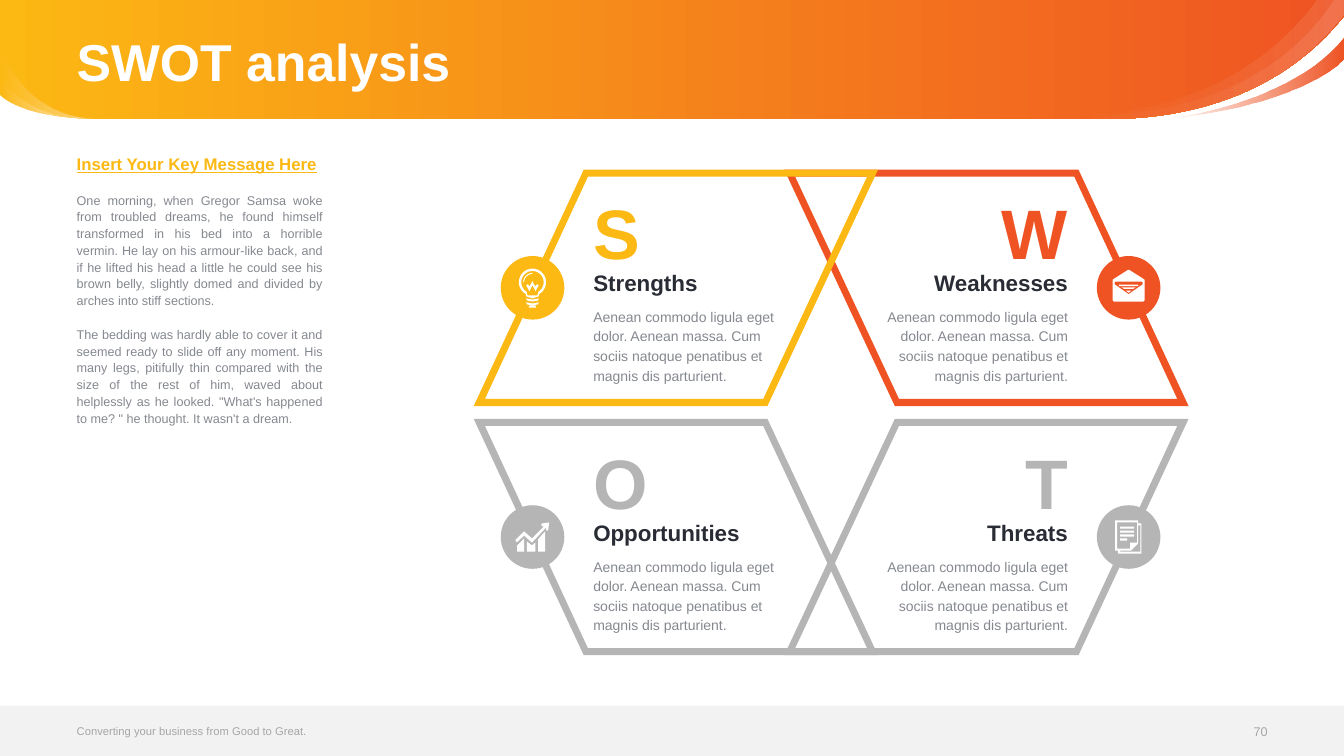
from dataclasses import dataclass
from math import cos, radians, sin

from lxml import etree
from pptx import Presentation
from pptx import util as u
from pptx.dml.color import RGBColor
from pptx.enum import shapes, text
from pptx.oxml.ns import qn

Point = tuple[float, float]
Contour = list[Point]

COLORS = {"yellow": "FCB813", "red": "EF5323", "silver": "B5B5B5", "white": "FFFFFF",
          "band": "F2F2F2", "footer": "A6A6A6", "body": "85898F", "dark": "292C34"}
FONT = "Arial"
LEFT, RIGHT = text.PP_ALIGN.LEFT, text.PP_ALIGN.RIGHT
MIDDLE = text.MSO_ANCHOR.MIDDLE


@dataclass
class Stop:
    position: float
    color: str
    alpha: int = 100


@dataclass
class Wave:
    contour: Contour
    stops: tuple[Stop, Stop]


@dataclass
class Line:
    words: str
    size: float
    color: str
    bold: bool = False
    underline: bool = False
    align: text.PP_ALIGN = LEFT
    spacing: float | u.Length | None = None
    after: float = 0


@dataclass
class Panel:
    letter: str
    heading: str
    color: str
    column: int
    row: int
    icon: list[Contour]


def curve(p0: Point, p1: Point, p2: Point, p3: Point, steps: int = 24) -> Contour:
    """Points along a cubic curve."""
    points = []
    for i in range(steps + 1):
        t = i / steps
        weights = ((1 - t) ** 3, 3 * t * (1 - t) ** 2, 3 * t * t * (1 - t), t ** 3)
        points.append(tuple(sum(w * p[axis] for w, p in zip(weights, (p0, p1, p2, p3)))
                            for axis in (0, 1)))
    return points


def arc(radius: float, start: float, end: float, steps: int = 32) -> Contour:
    """Points along the bulb's glass, centred 4 pt above the badge centre."""
    angles = [radians(start + (end - start) * i / steps) for i in range(steps + 1)]
    return [(radius * cos(a), radius * sin(a) - 4) for a in angles]


def box(left: float, top: float, right: float, bottom: float) -> Contour:
    return [(left, top), (right, top), (right, bottom), (left, bottom)]


def paint(shape, color: str) -> None:
    shape.shadow.inherit = False
    shape.line.fill.background()
    shape.fill.solid()
    shape.fill.fore_color.rgb = RGBColor.from_string(COLORS[color])


def add_outline(slide, contours: list[Contour], color: str, x: float = 0, y: float = 0):
    placed = [[(u.Pt(x + px), u.Pt(y + py)) for px, py in c] for c in contours]
    builder = slide.shapes.build_freeform(*placed[0][0])
    builder.add_line_segments(placed[0][1:])
    for contour in placed[1:]:
        builder.move_to(*contour[0])
        builder.add_line_segments(contour[1:])
    shape = builder.convert_to_shape()
    paint(shape, color)
    return shape


def add_wave(slide, wave: Wave) -> None:
    shape = add_outline(slide, [wave.contour], "white")
    shape.fill.gradient()
    shape.fill.gradient_angle = 0
    for target, stop in zip(shape.fill.gradient_stops, wave.stops):
        target.position = stop.position
        target.color.rgb = RGBColor.from_string(COLORS[stop.color])
    for node, stop in zip(shape.element.iter(qn("a:srgbClr")), wave.stops):
        if stop.alpha < 100:
            etree.SubElement(node, qn("a:alpha")).set("val", str(stop.alpha * 1000))


def add_preset(slide, kind, x: float, y: float, w: float, h: float, color: str) -> None:
    paint(slide.shapes.add_shape(kind, u.Pt(x), u.Pt(y), u.Pt(w), u.Pt(h)), color)


def add_text(slide, x: float, y: float, w: float, h: float, *lines: Line,
             anchor=text.MSO_ANCHOR.TOP) -> None:
    frame = slide.shapes.add_textbox(u.Pt(x), u.Pt(y), u.Pt(w), u.Pt(h)).text_frame
    frame.word_wrap = True
    frame.vertical_anchor = anchor
    frame.margin_left = frame.margin_right = frame.margin_top = frame.margin_bottom = 0
    for i, line in enumerate(lines):
        paragraph = frame.add_paragraph() if i else frame.paragraphs[0]
        paragraph.text = line.words
        paragraph.alignment = line.align
        if line.spacing:
            paragraph.line_spacing = line.spacing
        if line.after:
            paragraph.space_after = u.Pt(line.after)
        font = paragraph.font
        font.name, font.size = FONT, u.Pt(line.size)
        font.bold, font.underline = line.bold, line.underline
        font.color.rgb = RGBColor.from_string(COLORS[line.color])


# Header waves
CORNER: Point = (960, 0)
EDGE: Point = (960, 11.5)
GLOSS = (Stop(0.15, "white", 0), Stop(1, "white", 10))
SHEEN = (Stop(0, "white", 0), Stop(1, "white", 50))
left_sweep = curve((70, 85), (13, 84.2), (0, 67.7), (0, 67.7))
WAVES = [
    Wave([CORNER, *curve(EDGE, (911.5, 72), (842.4, 84.2), (795.6, 85)), *left_sweep, (0, 0)],
         (Stop(0, "yellow"), Stop(1, "red"))),
    Wave([CORNER, *curve(EDGE, (881.3, 110.2), (748, 81.4), (744.5, 80.6)),
          *curve((744.5, 80.6), (748.8, 80.6), (887, 100), (953.3, 0))], GLOSS),
    Wave([*curve((833, 85), (833, 85), (923, 74.2), (960, 26.6)),
          *curve((960, 42.5), (960, 42.5), (931.7, 74.9), (833, 85))],
         (Stop(0, "red", 0), Stop(1, "red"))),
    Wave([CORNER, *curve(EDGE, (880.6, 111.6), (744.5, 80.6), (744.5, 80.6)),
          *curve((744.5, 80.6), (856, 87.8), (914.4, 36), (941, 0))], GLOSS),
    *[Wave([*left_sweep, *curve((0, top), (0, top), (13, dip), (70, 85))], SHEEN)
      for top, dip in ((54.7, 84.2), (32.4, 83.5))],
]

# Badge icons, measured from the badge centre
BULB = [
    [*arc(9.7, 61, -241), (-4.7, 6), (0, 7.6), (4.7, 6)],
    [*arc(8, 57, -237), (-3.5, 5.4), (3.5, 5.4)],
    *[[(-4.5, y), (0, y + 0.8), (4.5, y), (4, y + 1.5), (0, y + 2.2), (-4, y + 1.5)]
      for y in (7.6, 10.4)],
    box(-2.5, 12.8, 2.5, 14.2),
    [(1.8, -1), (0, -4.7), (-2.2, -1), (-3.2, -2.5), (-4.5, -1.8), (-2.2, 2.5), (0, -1.8),
     (2.2, 2.5), (4.5, -1.8), (3.2, -2.5)],
    [*arc(6.6, 180, 270), *arc(5.9, 270, 180)],
]
ENVELOPE = [
    [(11.2, -6), (0.5, -12.8), (-0.5, -12.8), (-11.2, -6), (-11.5, -4.7), (-11.5, 8.8),
     (-10.4, 9.8), (10.4, 9.8), (11.5, 8.8), (11.5, -4.7)],
    [(10, -2.5), (0, 4.5), (-10, -2.5), (-10, -4), (-9.5, -4.5), (9.5, -4.5), (10, -4)],
    [(0, 3.4), (2, 2), (-2, 2)],
    [(-3.2, 0.8), (3.2, 0.8), (5, -0.4), (-5, -0.4)],
    [(-6.8, -1.3), (6.8, -1.3), (7, -2.2), (-7, -2.2)],
]
GROWTH = [
    [(-11, 10.4), (-11, 6), (-6, 1), (-6, 10.4)],
    [(-4, 3.2), (-4, 10.4), (2, 10.4), (2, 4), (-0.4, 6)],
    [(4, 1.6), (4, 10.4), (9, 10.4), (9, -4)],
    [(11.9, -10.4), (6.8, -9.7), (6.2, -8.6), (6.8, -7.6), (8.3, -7.6), (-0.4, 1), (-6, -4),
     (-12, 1.8), (-12, 3.2), (-11, 3.6), (-6, -1), (-0.4, 4), (9.7, -6.8), (9.7, -5),
     (10.5, -4.5), (11.2, -5)],
]
DOCUMENT = [
    [(6.8, -9.7), (6.8, -11.9), (-9.7, -11.9), (-9.7, 9.7), (-7.6, 9.7), (-7.6, 11.9),
     (9, 11.9), (9, -9.7)],
    [(-8.3, 8.3), (-8.3, -10.4), (6.1, -10.4), (6.1, 4), (1, 4), (1, 8.3)],
    [(8.3, 10.4), (-6.1, 10.4), (-6.1, 9.7), (1.8, 9.7), (6.8, 4.7), (6.8, -8.3), (8.3, -8.3)],
    *[box(-6, y, right, y + 1.5) for y, right in ((-7.5, 4), (-4.6, 4), (-1.8, 4), (1, -1))],
]

# SWOT panels, back to front
PANELS = [
    Panel("W", "Weaknesses", "red", 1, 0, ENVELOPE),
    Panel("O", "Opportunities", "silver", 0, 1, GROWTH),
    Panel("T", "Threats", "silver", 1, 1, DOCUMENT),
    Panel("S", "Strengths", "yellow", 0, 0, BULB),
]
PANEL_W, PANEL_H, ROW_PITCH, BADGE = 288.8, 168.8, 178, 45.4
FRAME = [[(0, PANEL_H), (209.8, PANEL_H), (PANEL_W, 0), (78.6, 0)],
         [(8, 163.8), (206.8, 163.8), (281, 5), (81.6, 5)]]
SUMMARY = ("Aenean commodo ligula eget dolor. Aenean massa. Cum sociis natoque "
           "penatibus et magnis dis parturient.")


def add_panel(slide, panel: Panel) -> None:
    frame = [[(PANEL_W - x if panel.column else x, PANEL_H - y if panel.row else y)
              for x, y in contour] for contour in FRAME]
    drop = panel.row * ROW_PITCH
    add_outline(slide, frame, panel.color, (338.4, 560.2)[panel.column], 121.2 + drop)
    x, y = (380.4, 806.2)[panel.column], 205.6 + drop
    add_preset(slide, shapes.MSO_SHAPE.OVAL, x - BADGE / 2, y - BADGE / 2, BADGE, BADGE,
               panel.color)
    add_outline(slide, panel.icon, "white", x, y)


def add_panel_text(slide, panel: Panel) -> None:
    x, drop = (423.8, 623)[panel.column], panel.row * 178.5
    align = (LEFT, RIGHT)[panel.column]
    for top, height, line in (
            (218.2, 57, Line(SUMMARY, 10, "body", align=align, spacing=u.Pt(14))),
            (192.2, 19.4, Line(panel.heading, 16, "dark", True, align=align)),
            (135.4, 60.5, Line(panel.letter, 50, panel.color, True, align=align))):
        add_text(slide, x, top + drop, 139.8, height, line)


def main() -> None:
    deck = Presentation()
    deck.slide_width, deck.slide_height = u.Pt(960), u.Pt(540)
    slide = deck.slides.add_slide(deck.slide_layouts[6])

    # Header, footer band and title
    for wave in WAVES:
        add_wave(slide, wave)
    add_preset(slide, shapes.MSO_SHAPE.RECTANGLE, 0, 504, 960, 36, "band")
    add_text(slide, 54.8, 3.6, 850, 85, Line("SWOT analysis", 37, "white", True, spacing=0.9),
             anchor=MIDDLE)

    # Key message
    story = {"align": text.PP_ALIGN.JUSTIFY, "spacing": u.Pt(12)}
    add_text(
        slide, 54.8, 112.3, 175.6, 373.7,
        Line("Insert Your Key Message Here", 12, "yellow", True, True, after=12, **story),
        Line("One morning, when Gregor Samsa woke from troubled dreams, he found himself "
             "transformed in his bed into a horrible vermin. He lay on his armour-like back, "
             "and if he lifted his head a little he could see his brown belly, slightly domed "
             "and divided by arches into stiff sections.", 9, "body", after=12, **story),
        Line("The bedding was hardly able to cover it and seemed ready to slide off any moment. "
             "His many legs, pitifully thin compared with the size of the rest of him, waved "
             "about helplessly as he looked. \"What's happened to me? \" he thought. It wasn't "
             "a dream.", 9, "body", **story))

    # Footer
    add_text(slide, 54.8, 512.8, 376.6, 18.7,
             Line("Converting your business from Good to Great.", 8, "footer"), anchor=MIDDLE)
    add_text(slide, 860, 513.4, 45.4, 18.7, Line("70", 9, "footer", align=RIGHT), anchor=MIDDLE)

    # SWOT diagram
    for draw in (add_panel, add_panel_text):
        for panel in PANELS:
            draw(slide, panel)

    deck.save("out.pptx")


if __name__ == "__main__":
    main()
